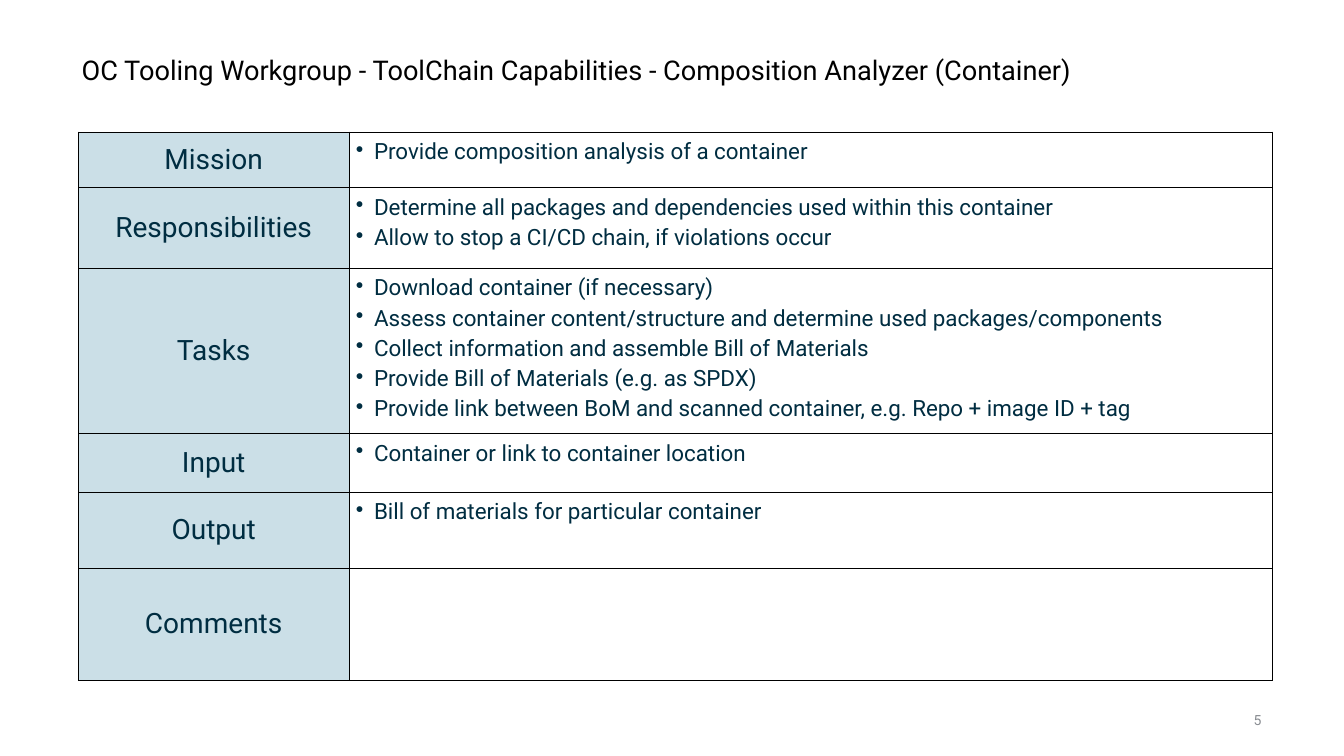
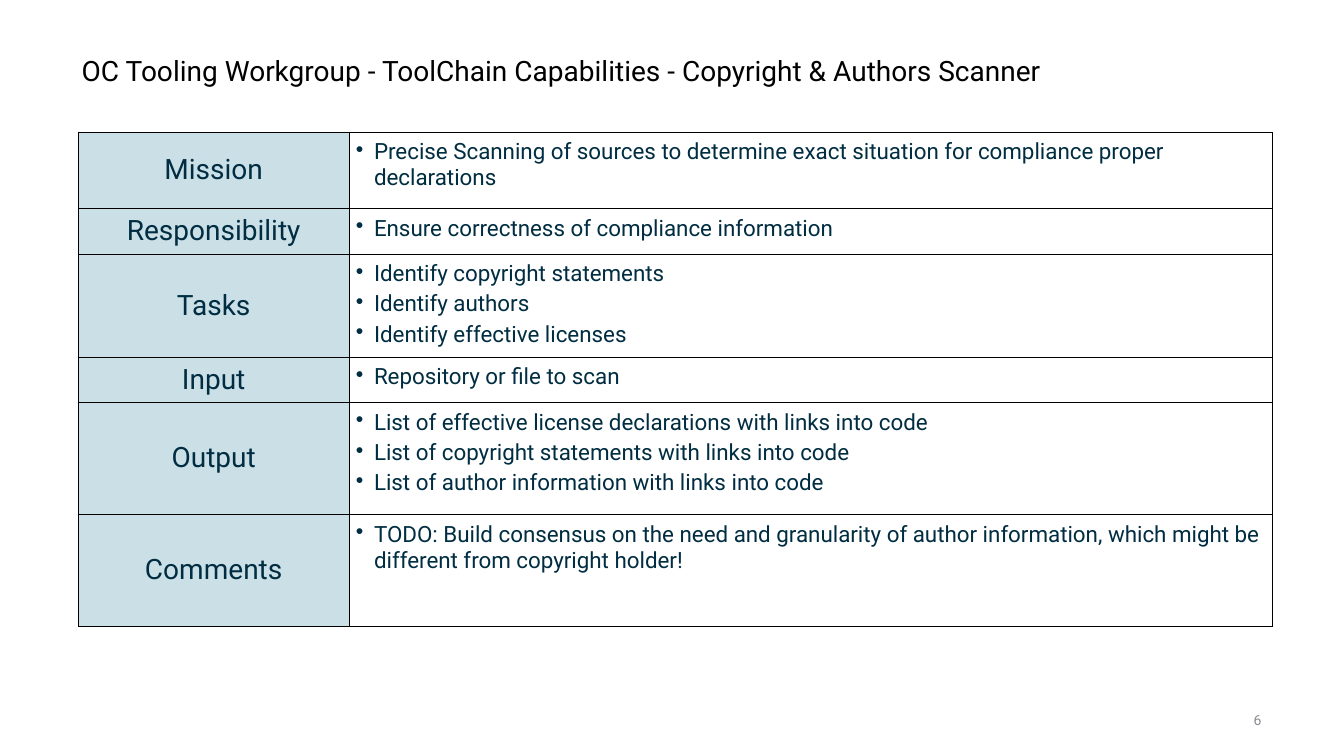
from pptx import Presentation
from pptx.dml.color import RGBColor
from pptx.enum.text import MSO_ANCHOR, PP_ALIGN
from pptx.oxml import parse_xml
from pptx.oxml.ns import nsdecls
from pptx.util import Inches, Pt

MIDDLE, TOP = MSO_ANCHOR.MIDDLE, MSO_ANCHOR.TOP
LEFT, CENTER, RIGHT = PP_ALIGN.LEFT, PP_ALIGN.CENTER, PP_ALIGN.RIGHT

FONT = "Roboto"
BLACK, WHITE, NAVY, PALE_BLUE, GRAY = "000000", "FFFFFF", "002D41", "CBDFE7", "888C91"
TITLE_PREFIX = "OC Tooling Workgroup - ToolChain Capabilities - "
COLUMN_WIDTHS = (2.68, 9.16)
BULLET_INDENT = 0.18
BORDER_WIDTH = 0.5

# Each row: label, height, bullet points
CAPABILITIES = [
    {
        "name": "Composition Analyzer (Container)",
        "title_size": 19.4,
        "page": 5,
        "rows": [
            ("Mission", 0.55, ["Provide composition analysis of a container"]),
            ("Responsibilities", 0.8, [
                "Determine all packages and dependencies used within this container",
                "Allow to stop a CI/CD chain, if violations occur",
            ]),
            ("Tasks", 1.6, [
                "Download container (if necessary)",
                "Assess container content/structure and determine used packages/components",
                "Collect information and assemble Bill of Materials",
                "Provide Bill of Materials (e.g. as SPDX)",
                "Provide link between BoM and scanned container, e.g. Repo + image ID + tag",
            ]),
            ("Input", 0.58, ["Container or link to container location"]),
            ("Output", 0.76, ["Bill of materials for particular container"]),
            ("Comments", 1.11, []),
        ],
    },
    {
        "name": "Copyright & Authors Scanner",
        "title_size": 20,
        "page": 6,
        "rows": [
            ("Mission", 0.76, [
                "Precise Scanning of sources to determine exact situation for "
                "compliance proper declarations",
            ]),
            ("Responsibility", 0.45, ["Ensure correctness of compliance information"]),
            ("Tasks", 1.0, [
                "Identify copyright statements",
                "Identify authors",
                "Identify effective licenses",
            ]),
            ("Input", 0.45, ["Repository or file to scan"]),
            ("Output", 1.11, [
                "List of effective license declarations with links into code",
                "List of copyright statements with links into code",
                "List of author information with links into code",
            ]),
            ("Comments", 1.11, [
                "TODO: Build consensus on the need and granularity of author "
                "information, which might be different from copyright holder!",
            ]),
        ],
    },
]


def rgb(hex_color):
    return RGBColor.from_string(hex_color)


def apply_values(target, values):
    for name, value in values.items():
        setattr(target, name, value)


def margins(inches):
    sides = ("left", "right", "top", "bottom")
    return {f"margin_{side}": Inches(inches) for side in sides}


class Deck:
    def __init__(self):
        self.presentation = Presentation()
        self.presentation.slide_width = Inches(13.33)
        self.presentation.slide_height = Inches(7.5)
        self.slide = None

    def new_slide(self):
        blank = self.presentation.slide_layouts[6]
        self.slide = self.presentation.slides.add_slide(blank)

    def add_text(self, paragraph, text, size, color, **paragraph_format):
        run = paragraph.add_run()
        run.text = text
        apply_values(run.font, {"name": FONT, "size": Pt(size)})
        run.font.color.rgb = rgb(color)
        apply_values(paragraph, paragraph_format)

    def text_box(self, box, text, size, color, wrap=True, **paragraph_format):
        frame = self.slide.shapes.add_textbox(*map(Inches, box)).text_frame
        apply_values(frame, {"word_wrap": wrap, "vertical_anchor": MIDDLE, **margins(0.05)})
        self.add_text(frame.paragraphs[0], text, size, color, **paragraph_format)

    def title(self, name, size):
        self.text_box((0.76, 0.39, 10.62, 0.65), TITLE_PREFIX + name, size, BLACK,
                      line_spacing=0.9)

    def page_number(self, number):
        self.text_box((12.37, 7, 0.19, 0.29), str(number), 10, GRAY,
                      wrap=False, alignment=RIGHT)

    def style_cell(self, cell, fill, anchor, margin):
        # Borders come before the fill in the cell properties
        properties = cell._tc.get_or_add_tcPr()
        for edge in ("lnL", "lnR", "lnT", "lnB"):
            properties.append(parse_xml(
                f'<a:{edge} {nsdecls("a")} w="{Pt(BORDER_WIDTH)}"><a:solidFill>'
                f'<a:srgbClr val="{BLACK}"/></a:solidFill></a:{edge}>'))
        cell.fill.solid()
        cell.fill.fore_color.rgb = rgb(fill)
        apply_values(cell, {"vertical_anchor": anchor, **margins(margin)})

    def bullets(self, frame, points):
        for index, point in enumerate(points):
            paragraph = frame.add_paragraph() if index else frame.paragraphs[0]
            properties = paragraph._p.get_or_add_pPr()
            properties.set("marL", str(Inches(BULLET_INDENT)))
            properties.set("indent", str(-Inches(BULLET_INDENT)))
            properties.append(parse_xml(f'<a:buChar {nsdecls("a")} char="•"/>'))
            self.add_text(paragraph, point, 16, NAVY, alignment=LEFT,
                          space_before=Pt(3 if index else 0))

    def capability_table(self, rows):
        height = sum(row_height for _, row_height, _ in rows)
        box = (0.78, 1.31, sum(COLUMN_WIDTHS), height)
        table = self.slide.shapes.add_table(
            len(rows), len(COLUMN_WIDTHS), *map(Inches, box)).table
        apply_values(table, {"first_row": False, "horz_banding": False})
        for column, width in zip(table.columns, COLUMN_WIDTHS):
            column.width = Inches(width)
        for table_row, (label, row_height, points) in zip(table.rows, rows):
            table_row.height = Inches(row_height)
            label_cell, points_cell = table_row.cells
            self.style_cell(label_cell, PALE_BLUE, MIDDLE, 0)
            self.add_text(label_cell.text_frame.paragraphs[0], label, 20, NAVY,
                          alignment=CENTER)
            self.style_cell(points_cell, WHITE, TOP, 0.07)
            self.bullets(points_cell.text_frame, points)


def main():
    deck = Deck()
    for capability in CAPABILITIES:
        deck.new_slide()
        deck.title(capability["name"], capability["title_size"])
        deck.page_number(capability["page"])
        deck.capability_table(capability["rows"])
    deck.presentation.save("out.pptx")


if __name__ == "__main__":
    main()
